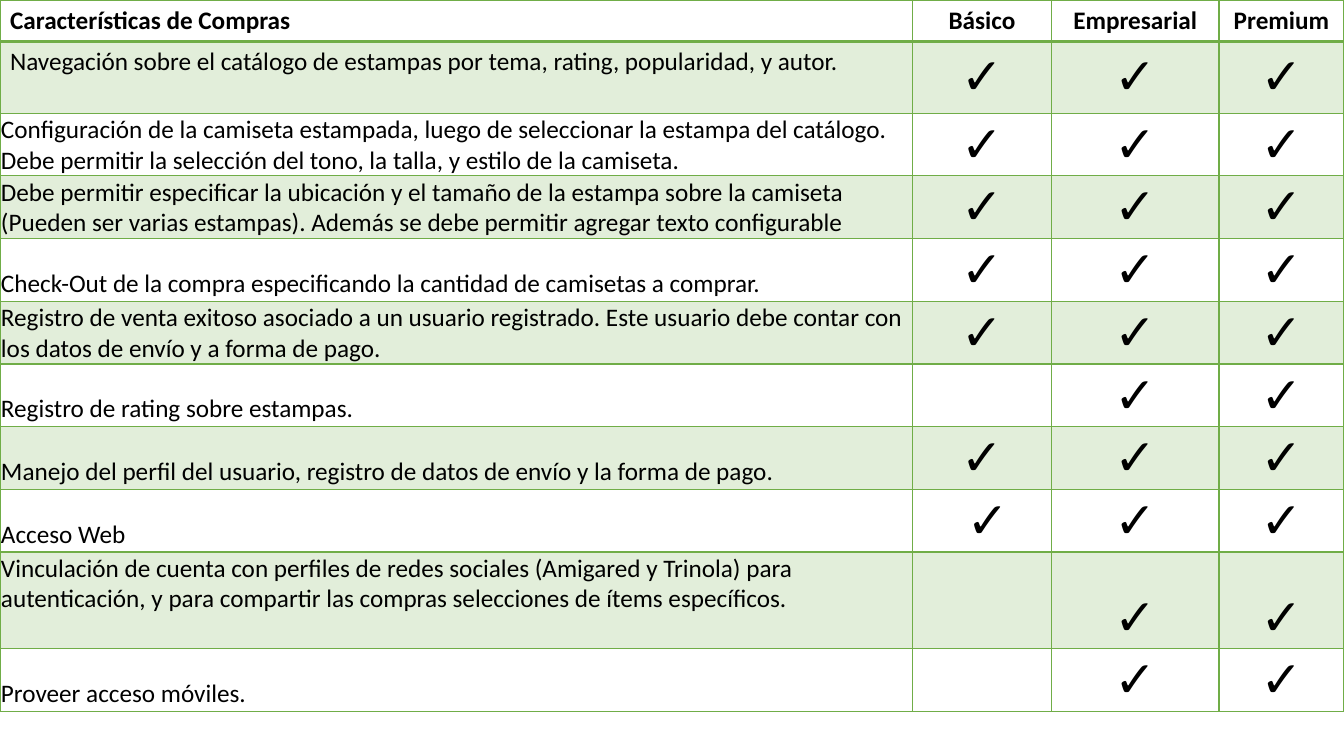
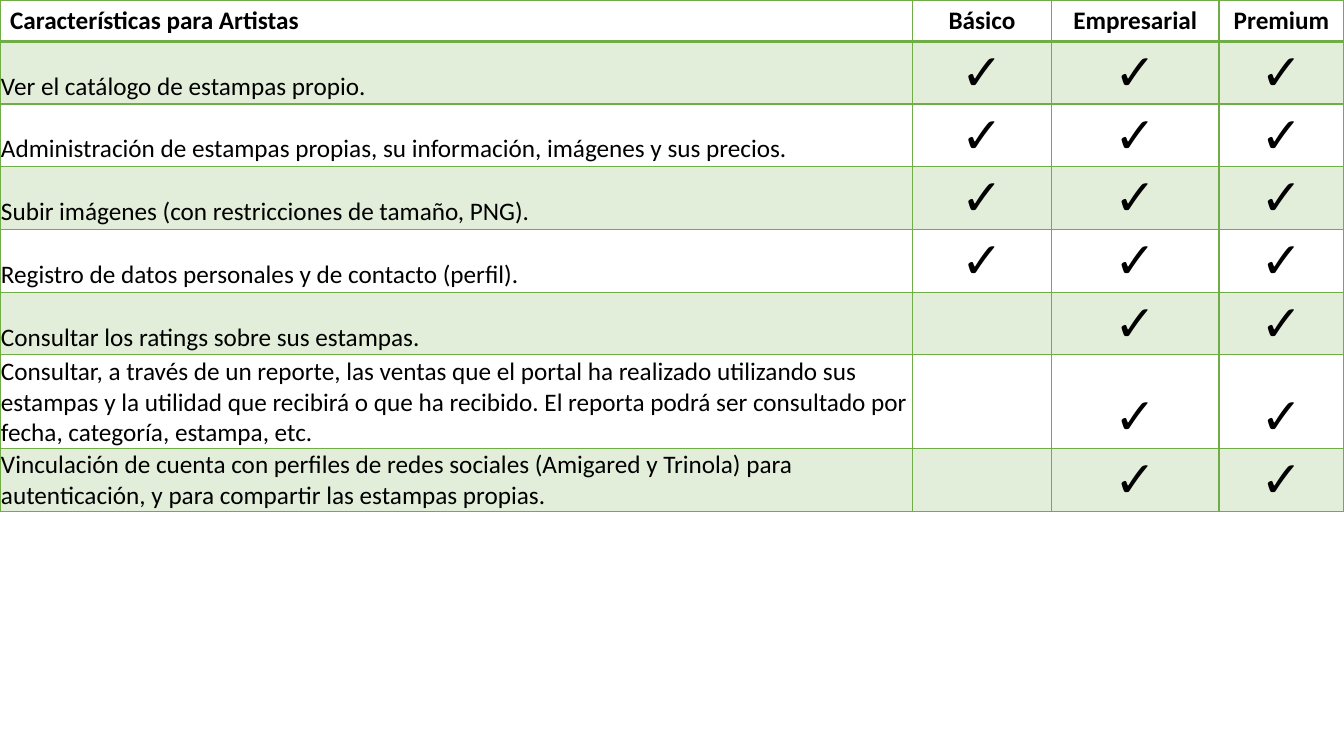
from pptx import Presentation
from pptx.dml.color import RGBColor
from pptx.enum.text import MSO_ANCHOR, PP_ALIGN
from pptx.oxml import parse_xml
from pptx.oxml.ns import nsdecls, qn
from pptx.util import Inches, Pt
from lxml import etree

GREEN = RGBColor(0x70, 0xAD, 0x47)
BLACK = RGBColor(0x00, 0x00, 0x00)
FONT = "Calibri"
TOP, BOTTOM = MSO_ANCHOR.TOP, MSO_ANCHOR.BOTTOM
LEFT, CENTER = PP_ALIGN.LEFT, PP_ALIGN.CENTER

CHECK = "✓"
PLANS = ["Básico", "Empresarial", "Premium"]
COLUMN_WIDTHS = [9.05, 1.38, 1.66, 1.24]
HEADER_HEIGHT, ROW_HEIGHT = 0.41, 0.62
ONE_LINE = 85  # longest description, in characters, that fits on one line

# Description, mark of the basic plan; the other two plans include everything
PURCHASES = [
    ("Navegación sobre el catálogo de estampas por tema, rating, popularidad, y autor.", CHECK),
    ("Configuración de la camiseta estampada, luego de seleccionar la estampa del catálogo. "
     "Debe permitir la selección del tono, la talla, y estilo de la camiseta.", CHECK),
    ("Debe permitir especificar la ubicación y el tamaño de la estampa sobre la camiseta "
     "(Pueden ser varias estampas). Además se debe permitir agregar texto configurable", CHECK),
    ("Check-Out de la compra especificando la cantidad de camisetas a comprar.", CHECK),
    ("Registro de venta exitoso asociado a un usuario registrado. Este usuario debe contar con "
     "los datos de envío y a forma de pago.", CHECK),
    ("Registro de rating sobre estampas.", ""),
    ("Manejo del perfil del usuario, registro de datos de envío y la forma de pago.", CHECK),
    ("Acceso Web", "\u00a0" + CHECK),
    ("Vinculación de cuenta con perfiles de redes sociales (Amigared y Trinola) para "
     "autenticación, y para compartir las compras selecciones de ítems específicos.", ""),
    ("Proveer acceso móviles.", ""),
]
ARTISTS = [
    ("Ver el catálogo de estampas propio.", CHECK),
    ("Administración de estampas propias, su información, imágenes y sus precios.", CHECK),
    ("Subir imágenes (con restricciones de tamaño, PNG).", CHECK),
    ("Registro de datos personales y de contacto (perfil).", CHECK),
    ("Consultar los ratings sobre sus estampas.", ""),
    ("Consultar, a través de un reporte, las ventas que el portal ha realizado utilizando sus "
     "estampas y la utilidad que recibirá o que ha recibido. El reporta podrá ser consultado por "
     "fecha, categoría, estampa, etc.", ""),
    ("Vinculación de cuenta con perfiles de redes sociales (Amigared y Trinola) para "
     "autenticación, y para compartir las estampas propias.", ""),
]
# Heading, features, taller rows, rows with roomy margins, descriptions set at the top
SECTIONS = [
    ("Características de Compras", PURCHASES, {1: 0.7, 9: 0.96}, {0, 1}, {0, 1, 9}),
    ("Características para Artistas", ARTISTS, {6: 0.93}, {0}, {0}),
]


def paint_cell(cell, shaded, bottom_width):
    """Give a cell its translucent or empty fill and its green borders."""
    if shaded:
        cell.fill.solid()
        cell.fill.fore_color.rgb = GREEN
        color = cell._tc.tcPr.find(".//" + qn("a:srgbClr"))
        etree.SubElement(color, qn("a:alpha")).set("val", "20000")
    else:
        cell.fill.background()
    widths = {"lnL": 1, "lnR": 1, "lnT": 1, "lnB": bottom_width}
    for index, (side, width) in enumerate(widths.items()):
        border = parse_xml(
            f'<a:{side} {nsdecls("a")} w="{Pt(width)}"><a:solidFill>'
            f'<a:srgbClr val="{GREEN}"/></a:solidFill></a:{side}>')
        cell._tc.tcPr.insert(index, border)


def write_cell(cell, text, size, align, bold):
    """Write one formatted paragraph into a cell."""
    cell.text_frame.text = text
    paragraph = cell.text_frame.paragraphs[0]
    paragraph.alignment = align
    for run in paragraph.runs:
        run.font.name = FONT
        run.font.size = Pt(size)
        run.font.bold = bold
        run.font.color.rgb = BLACK


prs = Presentation()
prs.slide_width, prs.slide_height = Inches(13.33), Inches(7.5)
blank_layout = prs.slide_layouts[6]

for heading, features, tall_rows, roomy_rows, top_rows in SECTIONS:
    rows = [[heading, *PLANS]]
    rows += [[feature, basic, CHECK, CHECK] for feature, basic in features]
    heights = [HEADER_HEIGHT] + [ROW_HEIGHT] * len(features)
    for row, height in tall_rows.items():
        heights[row] = height

    slide = prs.slides.add_slide(blank_layout)
    comparison = slide.shapes.add_table(
        len(rows), len(COLUMN_WIDTHS), 0, 0,
        Inches(sum(COLUMN_WIDTHS)), Inches(sum(heights))).table
    comparison.horz_banding = False
    for column, width in zip(comparison.columns, COLUMN_WIDTHS):
        column.width = Inches(width)

    for row, texts in enumerate(rows):
        comparison.rows[row].height = Inches(heights[row])
        is_header = row == 0
        for column, text in enumerate(texts):
            cell = comparison.cell(row, column)
            is_feature = column == 0
            paint_cell(cell, row % 2 == 1, 2 if is_header else 1)
            write_cell(cell, text, 18 if is_header or is_feature else 36,
                       LEFT if is_feature else CENTER, is_header)
            at_top = row in top_rows and (is_feature or row in roomy_rows)
            cell.vertical_anchor = TOP if at_top else BOTTOM
            if row not in roomy_rows:
                one_line = is_feature and len(text) <= ONE_LINE
                cell.margin_left = cell.margin_right = Inches(0.01)
                cell.margin_top = Inches(0.02 if one_line else 0.01)
                cell.margin_bottom = Inches(0.02 if one_line else 0)

prs.save("out.pptx")
